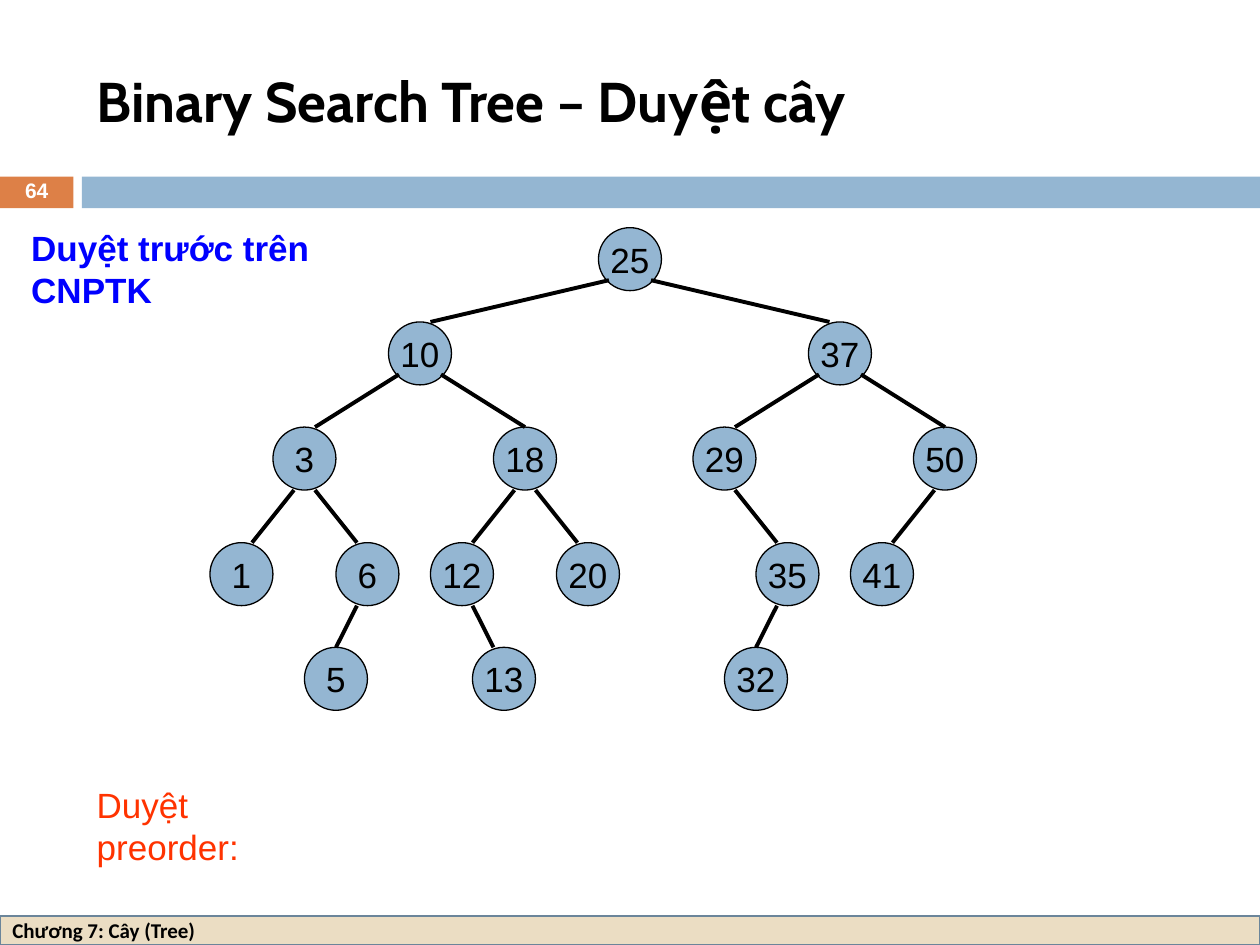
"""Build the slide on pre-order traversal of a binary search tree."""
import pptx
import pptx.dml.color
import pptx.enum.shapes
import pptx.enum.text
import pptx.oxml
import pptx.oxml.ns
import pptx.util

Cm, Pt = pptx.util.Cm, pptx.util.Pt
SHAPES = pptx.enum.shapes.MSO_SHAPE
ANCHOR = pptx.enum.text.MSO_ANCHOR
ALIGN = pptx.enum.text.PP_ALIGN
FIT = pptx.enum.text.MSO_AUTO_SIZE

THEME = {
    "colors": {"blue": "94B6D2", "orange": "DD8047", "sand": "EBDDC3", "steel": "6B859A", "ink": "000000"},
    "text": {
        "title": {"name": "Cabin", "size": 32, "bold": True, "color": "000000"},
        "footer": {"name": "Calibri", "size": 12, "bold": True, "color": "000000"},
        "number": {"name": "Arial", "size": 12, "bold": True, "color": "FFFFFF"},
        "node": {"name": "Arial", "size": 20, "bold": False, "color": "000000"},
        "heading": {"name": "Arial", "size": 20, "bold": True, "color": "0000FF"},
        "answer": {"name": "Arial", "size": 20, "bold": False, "color": "FF3300"},
    },
}
COLORS = {name: pptx.dml.color.RGBColor.from_string(code) for name, code in THEME["colors"].items()}


def write(shape, text, role, align=ALIGN.LEFT, spacing=1.0, **frame_format):
    style = THEME["text"][role]
    frame = shape.text_frame
    frame.text = text
    paragraph = frame.paragraphs[0]
    formats = [
        (frame, {"word_wrap": True, "vertical_anchor": ANCHOR.MIDDLE, **frame_format}),
        (paragraph, {"alignment": align, "line_spacing": spacing}),
        (paragraph.runs[0].font, {"name": style["name"], "size": Pt(style["size"]), "bold": style["bold"]}),
    ]
    for target, values in formats:
        for attribute, value in values.items():
            setattr(target, attribute, value)
    paragraph.runs[0].font.color.rgb = pptx.dml.color.RGBColor.from_string(style["color"])


def draw(kind, box, fill, outline=None, width=0.75):
    shape = slide.shapes.add_shape(kind, *map(Cm, box))
    shape.shadow.inherit = False
    shape.fill.solid()
    shape.fill.fore_color.rgb = COLORS[fill]
    if outline:
        shape.line.color.rgb = COLORS[outline]
        shape.line.width = Pt(width)
    else:
        shape.line.fill.background()
    return shape


deck = pptx.Presentation()
deck.slide_width, deck.slide_height = Cm(25.4), Cm(19.05)
slide = deck.slides.add_slide(deck.slide_layouts[6])

draw(SHAPES.RECTANGLE, (0, 3.56, 1.48, 0.64), "orange")
draw(SHAPES.RECTANGLE, (1.65, 3.56, 23.75, 0.64), "blue")
footer = draw(SHAPES.RECTANGLE, (0, 18.47, 25.4, 0.58), "sand", "steel", 1.5)
write(footer, "Chương 7: Cây (Tree)", "footer")

hugging = {"word_wrap": False, "auto_size": FIT.SHAPE_TO_FIT_TEXT, "vertical_anchor": ANCHOR.TOP}
captions = [
    ((1.7, 0.64, 22.66, 2.74), "Binary Search Tree – Duyệt cây", "title", {}),
    ((0, 3.53, 1.48, 0.69), "64", "number", {"align": ALIGN.CENTER, "spacing": 0.8}),
    ((1.7, 15.67, 5.41, 1.12), "Duyệt preorder:", "answer", hugging),
    ((0.38, 4.45, 8.74, 1.12), "Duyệt trước trên CNPTK", "heading", hugging),
]
for box, text, role, options in captions:
    write(slide.shapes.add_textbox(*map(Cm, box)), text, role, **options)

grid = 2.54 / 12
diameter = 6 * grid
level_tops = [4.59, 6.49, 8.61, 10.94, 13.05]
edge_starts = [(2, 5), (2, 5), (1, 6), (1, 6)]
centred_entries = {18, 50, 5, 32}
tree = {
    25: (60, 0, None),
    10: (40, 1, 25), 37: (80, 1, 25),
    3: (29, 2, 10), 18: (50, 2, 10), 29: (69, 2, 37), 50: (90, 2, 37),
    1: (23, 3, 3), 6: (35, 3, 3), 12: (44, 3, 18), 20: (56, 3, 18), 35: (75, 3, 29), 41: (84, 3, 50),
    5: (32, 4, 6), 13: (48, 4, 12), 32: (72, 4, 35),
}

for key, (column, level, parent) in tree.items():
    node = draw(SHAPES.OVAL, (column * grid - diameter / 2, level_tops[level], diameter, diameter), "blue", "ink")
    write(node, str(key), "node", ALIGN.CENTER, word_wrap=False)

for key, (column, level, parent) in tree.items():
    if parent is None:
        continue
    parent_column, parent_level, _ = tree[parent]
    side = 1 if key > parent else -1
    reach, drop = edge_starts[parent_level]
    entry = 0 if key in centred_entries else -side
    edge = slide.shapes.add_connector(
        pptx.enum.shapes.MSO_CONNECTOR.STRAIGHT,
        Cm((parent_column + side * reach) * grid), Cm(level_tops[parent_level] + drop * grid),
        Cm((column + entry) * grid), Cm(level_tops[level]))
    edge.line.color.rgb = COLORS["ink"]
    edge.line.width = Pt(2.25)
    edge.element.spPr.append(pptx.oxml.parse_xml(f"<a:effectLst {pptx.oxml.ns.nsdecls('a')}/>"))

deck.save("out.pptx")
